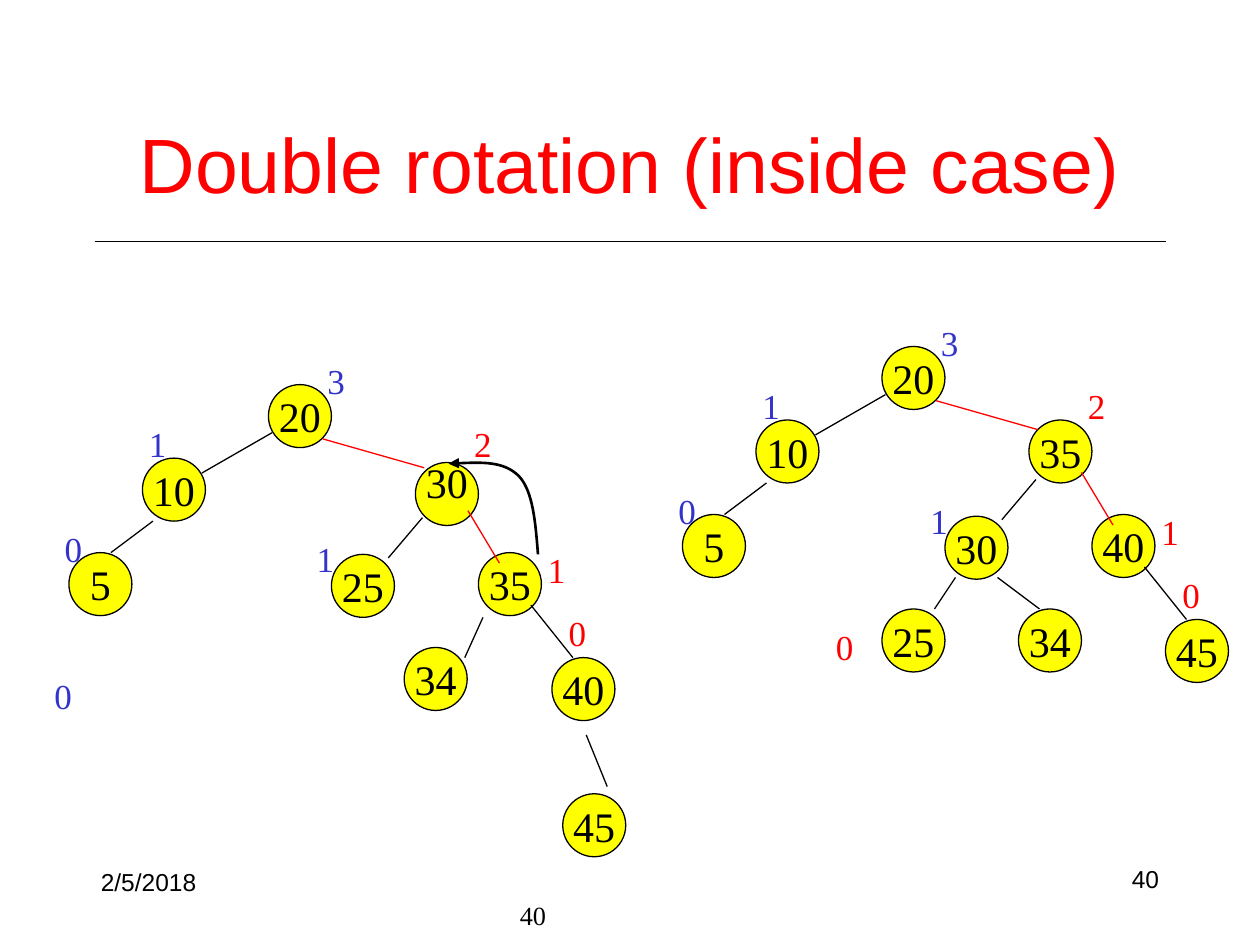
from lxml import etree
from pptx import Presentation
from pptx.dml.color import RGBColor
from pptx.enum import shapes, text
from pptx.oxml.ns import qn
from pptx.util import Pt

COLORS = {"black": "000000", "red": "FF0000", "blue": "3333CC", "yellow": "FFFF00"}
SERIF = "Times New Roman"
LEFT, CENTER, RIGHT = text.PP_ALIGN.LEFT, text.PP_ALIGN.CENTER, text.PP_ALIGN.RIGHT
TOP, MIDDLE = text.MSO_ANCHOR.TOP, text.MSO_ANCHOR.MIDDLE

deck = Presentation()
deck.slide_width, deck.slide_height = Pt(720), Pt(540)
slide = deck.slides.add_slide(deck.slide_layouts[6])


def write(shape, wording, size, font, color, align=LEFT, anchor=TOP, wrap=True):
    frame = shape.text_frame
    frame.word_wrap = wrap
    frame.vertical_anchor = anchor
    frame.margin_left = frame.margin_right = Pt(3.6)
    frame.margin_top = frame.margin_bottom = Pt(3.6)
    paragraph = frame.paragraphs[0]
    paragraph.text = wording
    paragraph.alignment = align
    paragraph.font.size = Pt(size)
    paragraph.font.name = font
    paragraph.font.color.rgb = RGBColor.from_string(COLORS[color])
    return paragraph


def draw_line(x1, y1, x2, y2, color="black"):
    line = slide.shapes.add_connector(
        shapes.MSO_CONNECTOR.STRAIGHT, Pt(x1), Pt(y1), Pt(x2), Pt(y2))
    line.line.color.rgb = RGBColor.from_string(COLORS[color])
    line.line.width = Pt(0.75)
    etree.SubElement(line._element.spPr, qn("a:effectLst"))


draw_line(54, 138, 666, 138)

captions = [
    ("Double rotation (inside case)", 54, 48, 612, 90, 44, "Arial", "red", CENTER, MIDDLE, 1),
    ("40", 516, 492, 150, 23, 14, "Arial", "black", RIGHT, TOP, 0.9),
    ("2/5/2018", 54, 492, 150, 24.5, 14, "Arial", "black", LEFT, TOP, 1),
    ("40", 165.6, 514, 150, 23, 15, SERIF, "black", RIGHT, TOP, 0.8),
]
for wording, x, y, width, height, size, font, color, align, anchor, spacing in captions:
    box = slide.shapes.add_textbox(Pt(x), Pt(y), Pt(width), Pt(height))
    write(box, wording, size, font, color, align, anchor).line_spacing = spacing

shared_places = [(504, 198), (432, 240), (588, 240), (540, 295), (624, 294), (390, 294), (666, 354)]
shared_edges = [
    (506, 225.5, 466, 248.5, "black"), (535, 229, 593, 245.5, "red"),
    (592, 274, 572.5, 297, "black"), (618, 270, 636, 300, "red"),
    (438, 276, 414, 294, "black"), (654, 324, 678, 354, "black"),
]
shared_heights = [
    ("1", 432, 216, "blue"), ("0", 384, 276, "blue"), ("1", 528, 282, "blue"),
    ("2", 618, 216, "red"), ("3", 534, 180, "blue"), ("0", 672, 324, "red"),
    ("1", 660, 288, "red"),
]
after = {
    "offset": (0, 0),
    "keys": ["20", "10", "35", "30", "40", "5", "45"],
    "nodes": [("25", 504, 348), ("34", 582, 348)],
    "edges": [(546, 330, 534, 348), (570, 330, 594, 348)],
    "heights": [("0", 474, 354, "red")],
}
before = {
    "offset": (-350.6, 21.8),
    "keys": ["20", "10", "30", "25", "35", "5", "40"],
    "nodes": [("34", 231, 370), ("45", 321.6, 453.6)],
    "edges": [(276, 352.8, 265.6, 375.8), (335, 420, 347, 449.5)],
    "heights": [("0", 27.4, 381.6, "blue")],
}

for tree in (after, before):
    dx, dy = tree["offset"]
    nodes = [(key, x + dx, y + dy) for key, (x, y) in zip(tree["keys"], shared_places)]
    for key, x, y in nodes + tree["nodes"]:
        raised = tree is before and key == "30"
        node = slide.shapes.add_shape(
            shapes.MSO_SHAPE.OVAL, Pt(x), Pt(y + 2.5 * raised), Pt(36), Pt(36))
        node.shadow.inherit = False
        node.fill.solid()
        node.fill.fore_color.rgb = RGBColor.from_string(COLORS["yellow"])
        node.line.color.rgb = RGBColor.from_string(COLORS["black"])
        node.line.width = Pt(0.75)
        write(node, key, 24, SERIF, "black", CENTER, MIDDLE, False)
        if raised:
            node.text_frame.margin_bottom = Pt(18)
    for x1, y1, x2, y2, color in shared_edges:
        draw_line(x1 + dx, y1 + dy, x2 + dx, y2 + dy, color)
    for edge in tree["edges"]:
        draw_line(*edge)
    heights = [(value, x + dx, y + dy, color) for value, x, y, color in shared_heights]
    for value, x, y, color in heights + tree["heights"]:
        box = slide.shapes.add_textbox(Pt(x), Pt(y), Pt(18), Pt(29.5))
        write(box, value, 20, SERIF, color, wrap=False)

curve = [(306, 298.8), (304.6, 280.8), (296.6, 272.2),
         (288, 263.5), (272.2, 264.2), (256.3, 265)]
builder = slide.shapes.build_freeform(Pt(307.4), Pt(316.8))
builder.add_line_segments([(Pt(x), Pt(y)) for x, y in curve], close=False)
rotation = builder.convert_to_shape()
rotation.shadow.inherit = False
rotation.fill.background()
rotation.line.color.rgb = RGBColor.from_string(COLORS["black"])
rotation.line.width = Pt(1.5)
outline = rotation._element.spPr.find(".//" + qn("a:path"))
segments = outline.findall(qn("a:lnTo"))
for first in (0, 3):
    bend = etree.SubElement(outline, qn("a:cubicBezTo"))
    for segment in segments[first:first + 3]:
        bend.append(segment[0])
        outline.remove(segment)
etree.SubElement(rotation.line._get_or_add_ln(), qn("a:tailEnd"), type="triangle")

deck.save("out.pptx")
